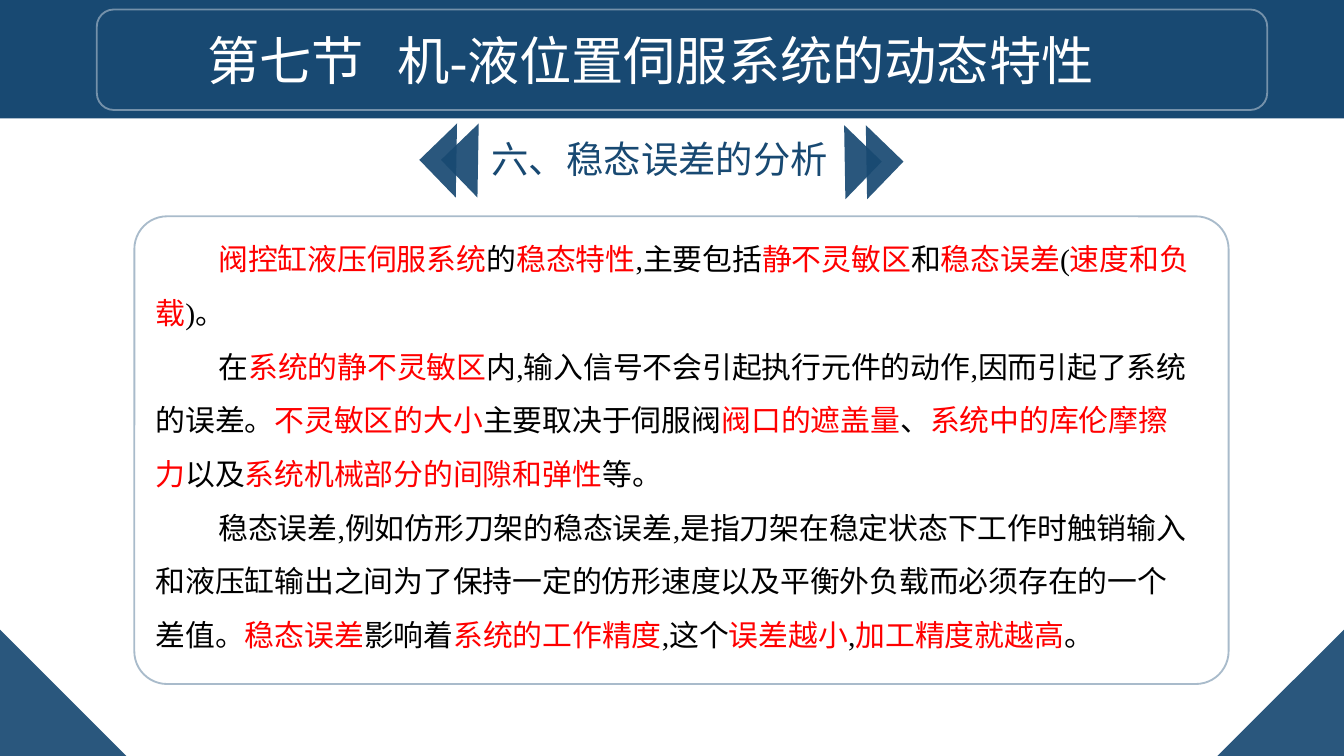
from dataclasses import dataclass

from lxml.etree import SubElement
from pptx import Presentation
from pptx.dml.color import RGBColor
from pptx.enum.shapes import MSO_SHAPE
from pptx.enum.text import MSO_ANCHOR, MSO_AUTO_SIZE, PP_ALIGN
from pptx.oxml.ns import qn
from pptx.util import Cm, Pt


@dataclass(frozen=True)
class Theme:
    font: str = "Times New Roman"
    navy: RGBColor = RGBColor(0x18, 0x49, 0x72)
    white: RGBColor = RGBColor(0xFF, 0xFF, 0xFF)
    black: RGBColor = RGBColor(0, 0, 0)
    red: RGBColor = RGBColor(0xFF, 0, 0)
    title_size: int = 28
    heading_size: int = 20
    body_size: int = 16
    triangle_opacity: int = 92


class SlideBuilder:
    def __init__(self, page, theme):
        self.page = page
        self.theme = theme

    def shape(self, kind, left, top, width, height):
        shape = self.page.shapes.add_shape(kind, Cm(left), Cm(top), Cm(width), Cm(height))
        shape.shadow.inherit = False
        return shape

    def set_opacity(self, color_format, percent):
        color = color_format.find(f".//{qn('a:srgbClr')}")
        SubElement(color, qn("a:alpha"), val=str(percent * 1000))

    def filled(self, kind, left, top, width, height):
        shape = self.shape(kind, left, top, width, height)
        shape.fill.solid()
        shape.fill.fore_color.rgb = self.theme.navy
        shape.line.fill.background()
        return shape

    def triangle(self, left, top, side, rotation):
        shape = self.filled(MSO_SHAPE.RIGHT_TRIANGLE, left, top, side, side)
        shape.rotation = rotation
        self.set_opacity(shape.element.spPr.find(qn("a:solidFill")), self.theme.triangle_opacity)

    def frame(self, left, top, width, height, color, opacity, radius):
        shape = self.shape(MSO_SHAPE.ROUNDED_RECTANGLE, left, top, width, height)
        shape.adjustments[0] = radius
        shape.fill.background()
        shape.line.color.rgb = color
        shape.line.width = Pt(1)
        self.set_opacity(shape.element.spPr.find(qn("a:ln")), opacity)

    def style(self, span, size, color):
        span.font.name = self.theme.font
        span.font.size = Pt(size)
        span.font.color.rgb = color

    def title(self, text, left, top, width, height, tab_stop):
        title = self.page.shapes.title
        title.left, title.top, title.width, title.height = map(Cm, (left, top, width, height))
        self.page.shapes.element.append(title.element)
        frame = title.text_frame
        frame.text = text
        frame.auto_size = MSO_AUTO_SIZE.NONE
        frame.vertical_anchor = MSO_ANCHOR.TOP
        para = frame.paragraphs[0]
        para.alignment = PP_ALIGN.LEFT
        tabs = SubElement(para._p.get_or_add_pPr(), qn("a:tabLst"))
        SubElement(tabs, qn("a:tab"), pos=str(Cm(tab_stop)), algn="l")
        for span in para.runs:
            self.style(span, self.theme.title_size, self.theme.white)

    def text_box(self, left, top, width, height):
        box = self.page.shapes.add_textbox(Cm(left), Cm(top), Cm(width), Cm(height))
        box.text_frame.word_wrap = True
        return box.text_frame

    def heading(self, text, left, top, width, height):
        frame = self.text_box(left, top, width, height)
        frame.text = text
        para = frame.paragraphs[0]
        para.line_spacing = 0.9
        self.style(para.runs[0], self.theme.heading_size, self.theme.navy)

    def body(self, texts, left, top, width, height, indent):
        frame = self.text_box(left, top, width, height)
        for number, text in enumerate(texts):
            para = frame.add_paragraph() if number else frame.paragraphs[0]
            para.line_spacing = 1.5
            para._p.get_or_add_pPr().set("indent", str(Cm(indent)))
            for position, part in enumerate(text.split("|")):
                if part:
                    span = para.add_run()
                    span.text = part
                    color = self.theme.red if position % 2 else self.theme.black
                    self.style(span, self.theme.body_size, color)


BODY = [
    "|阀控缸液压伺服系统|的|稳态特性|,主要包括|静不灵敏区|和|稳态误差|(|速度和负载|)。",
    "在|系统的静不灵敏区|内,输入信号不会引起执行元件的动作,因而引起了系统的误差。"
    "|不灵敏区的大小|主要取决于伺服阀|阀口的遮盖量|、|系统中的库伦摩擦力|以及"
    "|系统机械部分的间隙和弹性|等。",
    "稳态误差,例如仿形刀架的稳态误差,是指刀架在稳定状态下工作时触销输入和液压缸输出之间"
    "为了保持一定的仿形速度以及平衡外负载而必须存在的一个差值。"
    "|稳态误差|影响着|系统的工作精度|,这个|误差越小|,|加工精度就越高|。",
]


def main():
    deck = Presentation()
    deck.slide_width, deck.slide_height = Cm(25.4), Cm(14.29)
    theme = Theme()
    builder = SlideBuilder(deck.slides.add_slide(deck.slide_layouts[5]), theme)

    builder.filled(MSO_SHAPE.RECTANGLE, 0, 0, 25.4, 2.24)
    corner = 2.39
    for left, rotation in ((25.4 - corner, 270), (0, 0)):
        builder.triangle(left, 14.29 - corner, corner, rotation)

    builder.heading("六、稳态误差的分析", 9.04, 2.54, 15.85, 1.02)
    for left, top, rotation in ((8.13, 2.54, 46), (15.47, 2.57, 224)):
        for shift in (0, 0.41):
            builder.triangle(left + shift, top, 0.99, rotation)

    builder.frame(1.83, 0.18, 22.12, 1.9, theme.white, 40, 0.17)
    builder.title("第七节\t机-液位置伺服系统的动态特性", 3.66, 0.41, 21.21, 1.45, 3.6)
    builder.frame(2.54, 4.09, 20.68, 8.84, theme.navy, 36, 0.07)
    builder.body(BODY, 2.69, 4.09, 20.09, 8.46, 1.19)
    deck.save("out.pptx")


if __name__ == "__main__":
    main()
